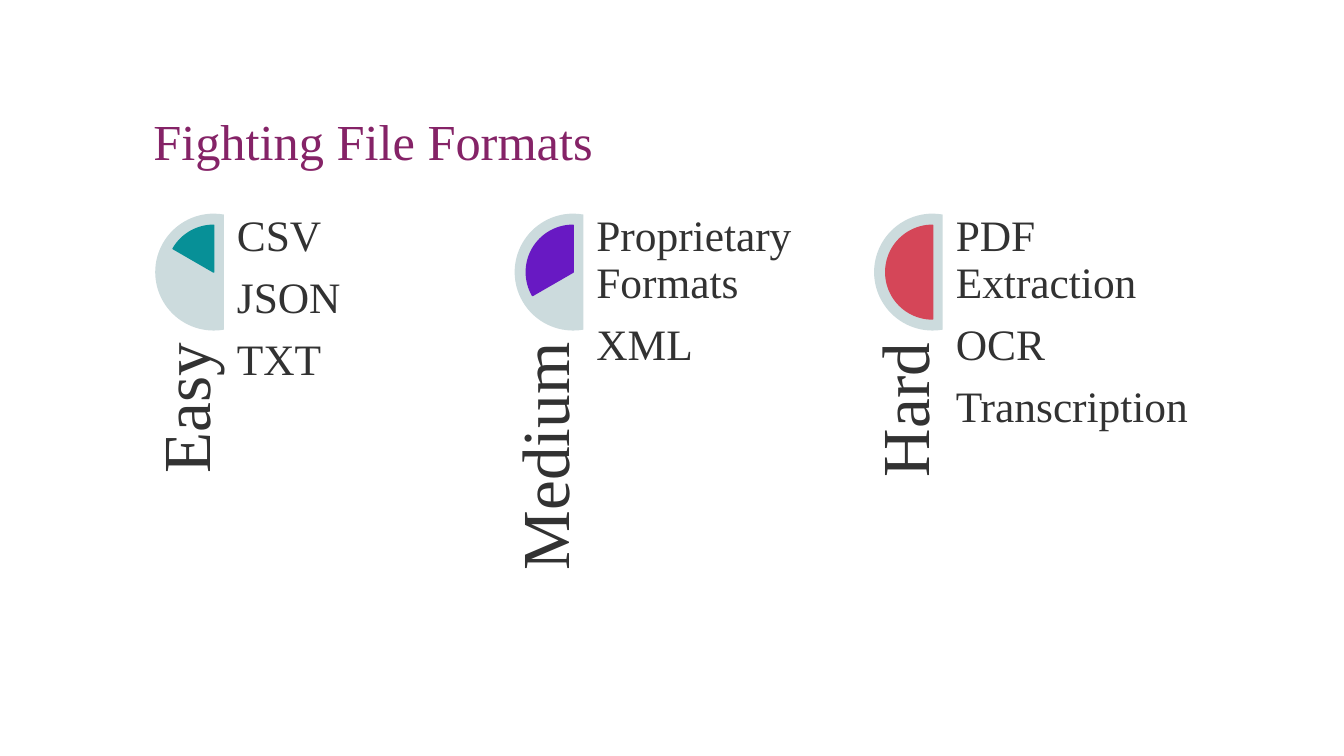
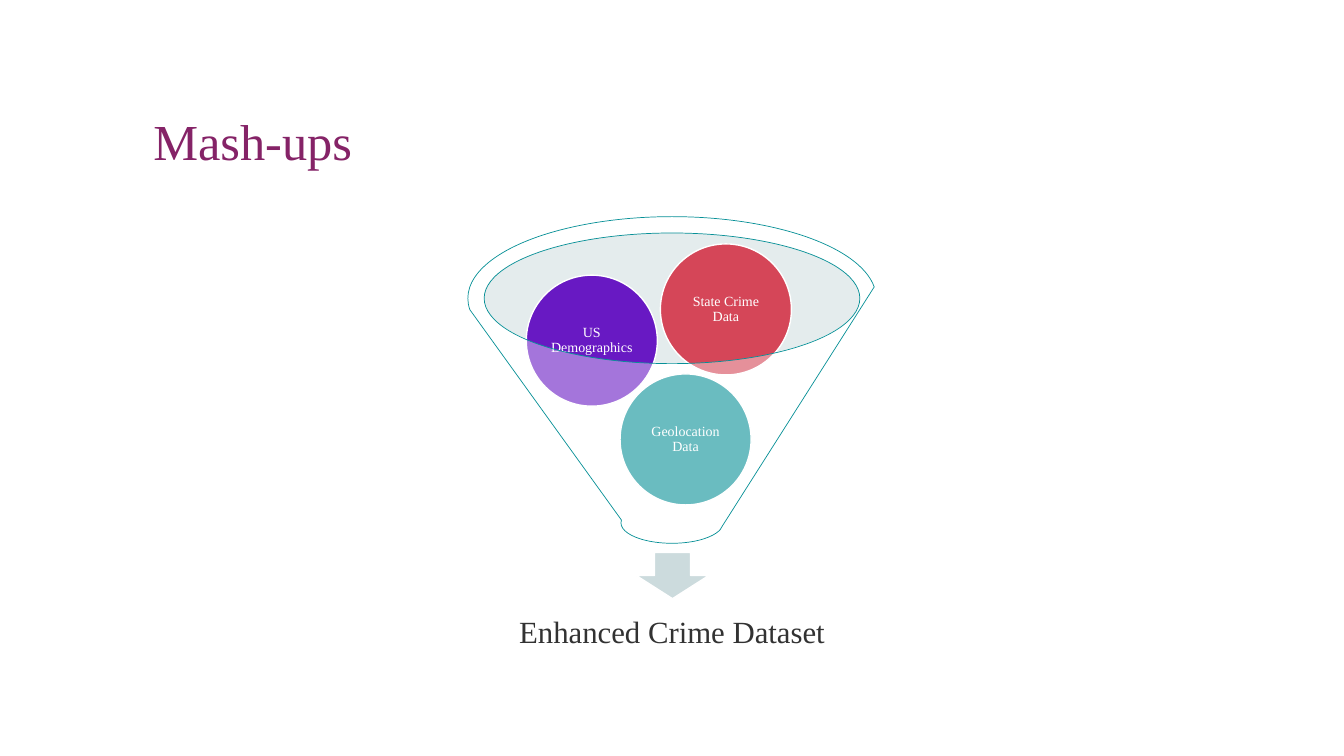
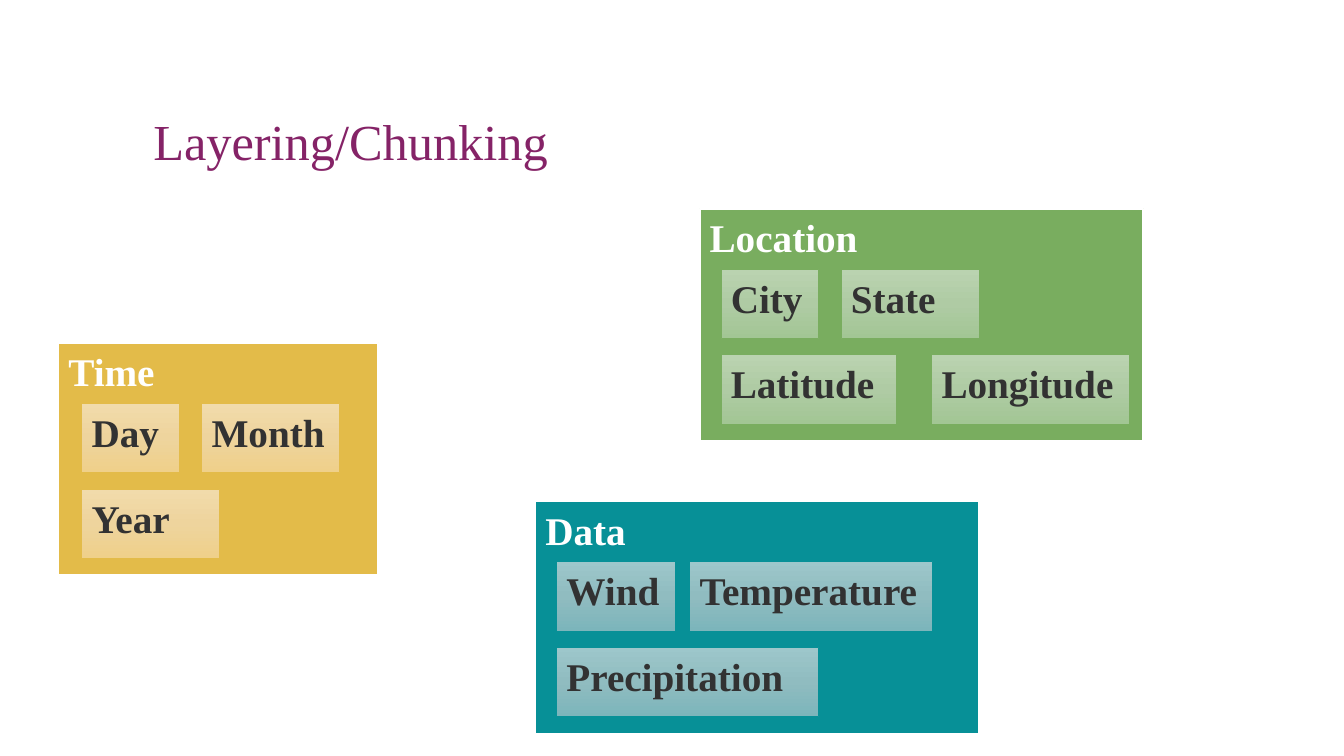
from copy import deepcopy
from dataclasses import dataclass

from lxml.etree import SubElement
from pptx import Presentation
from pptx.dml.color import RGBColor
from pptx.enum.shapes import MSO_SHAPE
from pptx.enum.text import MSO_ANCHOR, MSO_AUTO_SIZE, PP_ALIGN
from pptx.oxml.ns import qn
from pptx.util import Inches, Pt


@dataclass(frozen=True)
class Theme:
    font: str = "Times New Roman"
    plum: str = "852367"
    ink: str = "323232"
    white: str = "FFFFFF"
    mist: str = "CCDBDD"
    haze: str = "BDD1D3"
    teal: str = "079097"
    violet: str = "6819C3"
    red: str = "D54658"
    gold: str = "E3BB49"
    green: str = "79AD5F"
    title: int = 36
    level: int = 48
    item: int = 31
    result: int = 22
    ball: int = 10
    chunk: int = 28


T = Theme()

# Tile gradients, by panel colour
TINTS = {
    T.gold: ("F1DBAB", "EED49D", "EFD08A"),
    T.green: ("BAD3B0", "AFCBA4", "A2C694"),
    T.teal: ("9DC7CB", "90BCC0", "7CB5BB"),
}

# Name, colour, pie start (adjustment units of 100000), items
LEVELS = [
    ("Easy", T.teal, 126, ["CSV", "JSON", "TXT"]),
    ("Medium", T.violet, 90, ["Proprietary Formats", "XML"]),
    ("Hard", T.red, 54, ["PDF Extraction", "OCR", "Transcription"]),
]

# Label, colour, offset inside the funnel
BALLS = [
    ("Geolocation Data", T.teal, 1.51, 1.56),
    ("US Demographics", T.violet, 0.58, 0.58),
    ("State Crime Data", T.red, 1.91, 0.27),
]

# Name, colour, panel box, rows of tiles (label, offset, width)
PANELS = [
    ("Time", T.gold, (0.58, 3.4, 3.17, 2.31),
     [[("Day", 0.23, 0.97), ("Month", 1.42, 1.37)],
      [("Year", 0.23, 1.37)]]),
    ("Location", T.green, (6.94, 2.07, 4.4, 2.31),
     [[("City", 0.21, 0.97), ("State", 1.4, 1.37)],
      [("Latitude", 0.21, 1.74), ("Longitude", 2.3, 1.96)]]),
    ("Data", T.teal, (5.31, 4.97, 4.4, 2.31),
     [[("Wind", 0.21, 1.18), ("Temperature", 1.53, 2.41)],
      [("Precipitation", 0.21, 2.6)]]),
]


def rgb(code):
    return RGBColor.from_string(code)


def write(shape, lines, size, color, align=PP_ALIGN.LEFT, anchor=MSO_ANCHOR.TOP,
          inset=None, bold=False, pitch=None, after=0):
    """Fill a shape's text frame with one paragraph per line."""
    frame = shape.text_frame
    frame.word_wrap = True
    frame.auto_size = MSO_AUTO_SIZE.NONE
    frame.vertical_anchor = anchor
    if inset is not None:
        frame.margin_left = frame.margin_right = Inches(inset)
        frame.margin_top = frame.margin_bottom = Inches(inset)
    frame.text = "\n".join(lines)
    for par in frame.paragraphs:
        par.alignment = align
        par.line_spacing = pitch
        par.space_before = Pt(0)
        par.space_after = Pt(after)
        font = par.font
        font.name, font.size, font.bold = T.font, Pt(size), bold
        font.color.rgb = rgb(color)


def draw(slide, kind, box, fill=None, line=None, width=1, alpha=None):
    """Add a flat preset shape."""
    shape = slide.shapes.add_shape(kind, *map(Inches, box))
    shape.shadow.inherit = False
    if fill:
        shape.fill.solid()
        shape.fill.fore_color.rgb = rgb(fill)
    if alpha:
        color = shape._element.spPr.find(qn("a:solidFill"))[0]
        SubElement(color, qn("a:alpha")).set("val", str(alpha * 1000))
    if line:
        shape.line.color.rgb = rgb(line)
        shape.line.width = Pt(width)
    else:
        shape.line.fill.background()
    return shape


def blend(shape, colors):
    """Give a shape a top-down gradient of three colours."""
    fill = shape.fill
    fill.gradient()
    fill.gradient_angle = 270
    stops = shape._element.spPr.find(".//" + qn("a:gsLst"))
    stops.insert(1, deepcopy(stops[0]))
    for i, (stop, color) in enumerate(zip(fill.gradient_stops, colors)):
        stop.position = i / 2
        stop.color.rgb = rgb(color)


def label(slide, box, lines, size, **style):
    text = slide.shapes.add_textbox(*map(Inches, box))
    write(text, lines, size, T.ink, pitch=0.9, **style)
    return text


def start(deck, name):
    """Add a slide with the shared title."""
    slide = deck.slides.add_slide(deck.slide_layouts[5])
    title = slide.shapes.title
    title.left, title.top = Inches(1.42), Inches(0.4)
    title.width, title.height = Inches(10.5), Inches(1.35)
    write(title, [name], T.title, T.plum, anchor=MSO_ANCHOR.BOTTOM, pitch=0.9)
    return slide


def level(slide, x, y, name, color, angle, items):
    """One difficulty column: dial, upright name and list."""
    dial = draw(slide, MSO_SHAPE.CHORD, (x, y, 1.16, 1.16), T.mist)
    dial.adjustments[0], dial.adjustments[1] = 48, 168
    pie = draw(slide, MSO_SHAPE.PIE, (x + 0.115, y + 0.115, 0.93, 0.93), color, color)
    pie.adjustments[0], pie.adjustments[1] = angle, 162
    # Upright name, turned about its centre
    long, thick = 3.35, 0.69
    mid_x, mid_y = x + thick / 2, y + 1.28 + long / 2
    text = label(slide, (mid_x - long / 2, mid_y - thick / 2, long, thick), [name],
                 T.level, align=PP_ALIGN.RIGHT, anchor=MSO_ANCHOR.BOTTOM, inset=0)
    text.rotation = 270
    label(slide, (x + 0.81, y, 2.31, 4.62), items, T.item, inset=0,
          after=0.35 * T.item)


def funnel(slide, x, y):
    """Three data sets falling through a funnel into one."""
    draw(slide, MSO_SHAPE.OVAL, (x + 0.16, y + 0.16, 3.73, 1.29), T.haze, alpha=40)
    draw(slide, MSO_SHAPE.DOWN_ARROW, (x + 1.67, y + 3.33, 0.72, 0.46), T.mist, T.white)
    label(slide, (x + 0.29, y + 3.7, 3.47, 0.87), ["Enhanced Crime Dataset"], T.result,
          align=PP_ALIGN.CENTER, anchor=MSO_ANCHOR.MIDDLE, inset=0.17)
    for name, color, dx, dy in BALLS:
        ball = draw(slide, MSO_SHAPE.OVAL, (x + dx, y + dy, 1.3, 1.3), color, T.white)
        write(ball, [name], T.ball, T.white, align=PP_ALIGN.CENTER,
              anchor=MSO_ANCHOR.MIDDLE, inset=0.01, pitch=0.9)
    draw(slide, MSO_SHAPE.FUNNEL, (x, y, 4.05, 3.24), T.white, T.teal, 0.5, alpha=40)


def panel(slide, name, color, box, rows):
    """A named panel holding rows of tiles."""
    x, y = box[:2]
    back = draw(slide, MSO_SHAPE.RECTANGLE, box, color, T.white, 1.5)
    write(back, [name], T.chunk, T.white, bold=True)
    for i, row in enumerate(rows):
        for text, dx, width in row:
            place = (x + dx, y + 0.6 + 0.85 * i, width, 0.69)
            tile = draw(slide, MSO_SHAPE.RECTANGLE, place, line=color, width=0.5)
            blend(tile, TINTS[color])
            write(tile, [text], T.chunk, T.ink, bold=True)


def main():
    deck = Presentation()
    deck.slide_width, deck.slide_height = Inches(13.33), Inches(7.5)

    # File formats by difficulty
    slide = start(deck, "Fighting File Formats")
    first, last = 1.54, 8.67
    step = (last - first) / (len(LEVELS) - 1)
    for i, row in enumerate(LEVELS):
        level(slide, first + i * step, 2.12, *row)

    # Combined data sets
    funnel(start(deck, "Mash-ups"), 4.64, 2.15)

    # Fields grouped by topic
    slide = start(deck, "Layering/Chunking")
    for row in PANELS:
        panel(slide, *row)

    deck.save("out.pptx")


if __name__ == "__main__":
    main()
